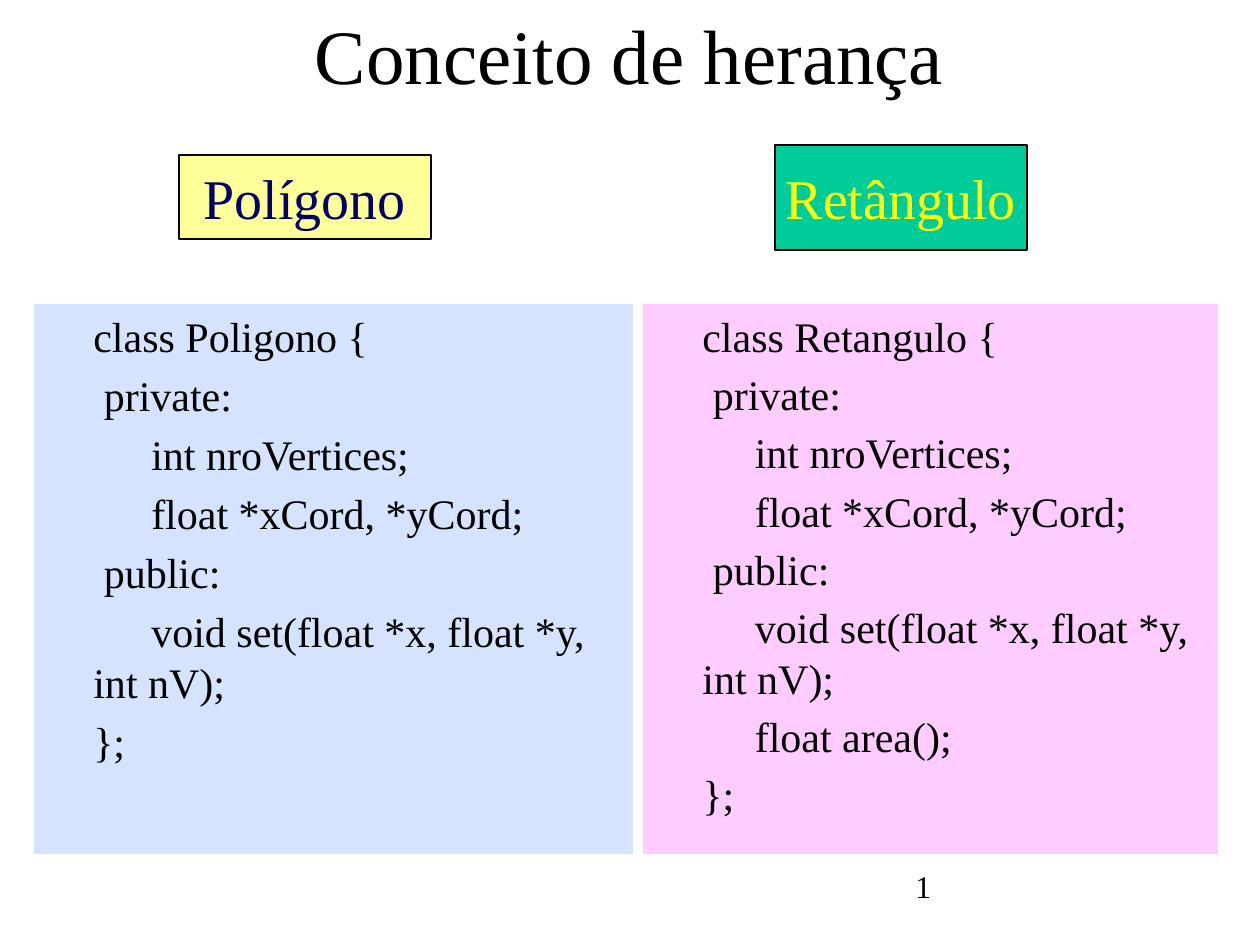
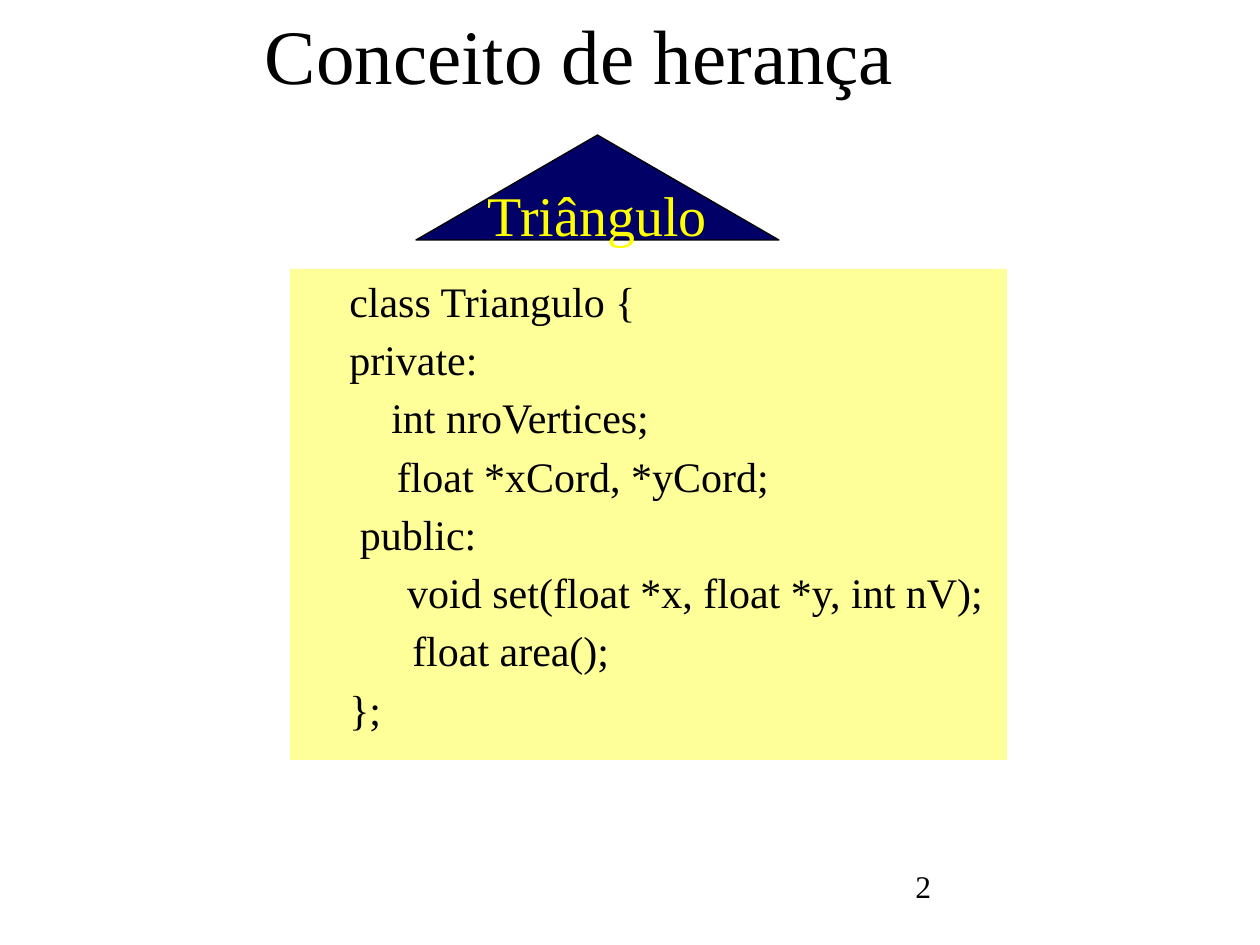
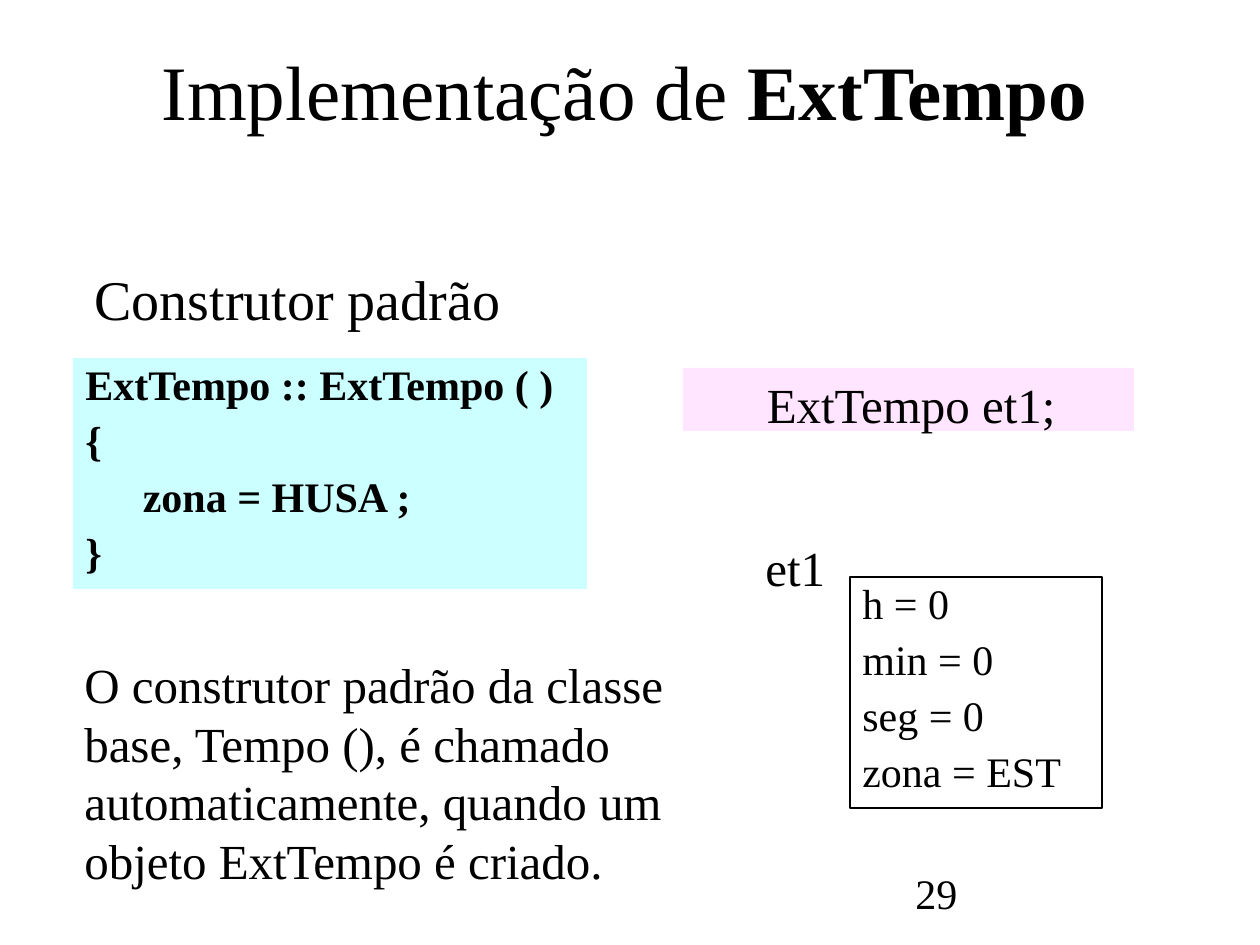
from pptx import Presentation
from pptx.dml.color import RGBColor
from pptx.enum.shapes import MSO_SHAPE
from pptx.enum.text import MSO_ANCHOR, PP_ALIGN
from pptx.util import Pt

PX = 914400 / 126
FONT = "Times New Roman"
BLACK = "000000"
NAVY = "000066"
YELLOW = "FFFF00"
PALE_YELLOW = "FFFF99"
GREEN = "00CC99"
PINK = "FFCCFF"
PALE_PINK = "FFE5FF"
PALE_BLUE = "D5E3FF"
PALE_CYAN = "CCFFFF"
RECTANGLE = MSO_SHAPE.RECTANGLE
TRIANGLE = MSO_SHAPE.ISOSCELES_TRIANGLE
TOP = MSO_ANCHOR.TOP
MIDDLE = MSO_ANCHOR.MIDDLE
BOTTOM = MSO_ANCHOR.BOTTOM
LEFT = PP_ALIGN.LEFT
CENTER = PP_ALIGN.CENTER

ATTRIBUTES = [
    "          int nroVertices;",
    "          float *xCord, *yCord;",
]
SETTER = "          void set(float *x, float *y, int nV);"

POLYGON_CODE = [
    "\tclass Poligono {",
    "\t private:",
    *ATTRIBUTES,
    "\t public:",
    SETTER,
    "\t};",
]
RECTANGLE_CODE = [
    "\tclass Retangulo {",
    "\t private:",
    "\t     int nroVertices;",
    "\t     float *xCord, *yCord;",
    "\t public:",
    "\t     void set(float *x, float *y, int nV);",
    "\t     float area();",
    "\t};",
]
TRIANGLE_CODE = [
    "\tclass Triangulo {",
    "\tprivate:",
    "\t    int nroVertices;",
    "         float *xCord, *yCord;",
    "\t public:",
    SETTER,
    "\t      float area();",
    "\t};",
]
CONSTRUCTOR_CODE = ["ExtTempo :: ExtTempo ( )", "{", "\t zona = HUSA ;", "}"]
OBJECT_STATE = ["h = 0", "min = 0", "seg = 0", "zona = EST"]


def px(length):
    return round(length * PX)


def color(value):
    return RGBColor.from_string(value)


def place(box):
    return [px(length) for length in box]


def add_run(paragraph, text, size, ink=BLACK, bold=False):
    run = paragraph.add_run()
    run.text = text
    run.font.name = FONT
    run.font.size = Pt(size)
    run.font.bold = bold
    run.font.color.rgb = color(ink)


def set_frame(frame, anchor, wrap):
    frame.word_wrap = wrap
    frame.vertical_anchor = anchor
    frame.margin_left = frame.margin_right = px(12.6)
    frame.margin_top = frame.margin_bottom = px(6.3)


def add_text(slide, box, runs, size, align=LEFT, anchor=TOP, wrap=True):
    frame = slide.shapes.add_textbox(*place(box)).text_frame
    set_frame(frame, anchor, wrap)
    paragraph = frame.paragraphs[0]
    paragraph.alignment = align
    for text, bold in runs:
        add_run(paragraph, text, size, bold=bold)


def add_panel(slide, kind, box, fill, outlined):
    panel = slide.shapes.add_shape(kind, *place(box))
    panel.shadow.inherit = False
    if fill:
        panel.fill.solid()
        panel.fill.fore_color.rgb = color(fill)
    else:
        panel.fill.background()
    if outlined:
        panel.line.color.rgb = color(BLACK)
        panel.line.width = Pt(0.75)
    else:
        panel.line.fill.background()
    return panel.text_frame


def add_class_label(slide, kind, box, name, fill, ink):
    frame = add_panel(slide, kind, box, fill, True)
    set_frame(frame, MIDDLE, False)
    paragraph = frame.paragraphs[0]
    paragraph.alignment = CENTER
    add_run(paragraph, name, 32, ink)


def add_code(slide, box, lines, fill=None, size=24, before=4.5, spacing=1.0,
             bold=False, outlined=False):
    frame = add_panel(slide, RECTANGLE, box, fill, outlined)
    set_frame(frame, TOP, True)
    for number, line in enumerate(lines):
        paragraph = frame.add_paragraph() if number else frame.paragraphs[0]
        paragraph.alignment = LEFT
        paragraph.line_spacing = spacing
        paragraph.space_before = Pt(before if number else 0)
        properties = paragraph._p.get_or_add_pPr()
        properties.set("marL", str(px(47)))
        properties.set("indent", str(-px(47)))
        add_run(paragraph, line, size, bold=bold)


def add_slide(deck, title, title_box, number, number_size=18, anchor=MIDDLE):
    slide = deck.slides.add_slide(deck.slide_layouts[6])
    add_text(slide, (903, 861, 262, 63), [(number, False)], number_size)
    add_text(slide, title_box, title, 44, CENTER, anchor)
    return slide


def build_polygon_and_rectangle(deck):
    slide = add_slide(deck, [("Conceito de herança", False)],
                      (94, 6, 1071, 95), "1")
    add_class_label(slide, RECTANGLE, (179, 155, 252, 84), "Polígono",
                    PALE_YELLOW, NAVY)
    add_class_label(slide, RECTANGLE, (775, 145, 252, 105), "Retângulo",
                    GREEN, YELLOW)
    add_code(slide, (34, 304, 599, 550), POLYGON_CODE, PALE_BLUE, before=5)
    add_code(slide, (643, 304, 575, 550), RECTANGLE_CODE, PINK)


def build_triangle(deck):
    slide = add_slide(deck, [("Conceito de herança", False)],
                      (44, 6, 1071, 95), "2")
    add_code(slide, (290, 269, 717, 491), TRIANGLE_CODE, PALE_YELLOW)
    add_class_label(slide, TRIANGLE, (416, 135, 363, 105), "Triângulo",
                    NAVY, YELLOW)


def build_constructor(deck):
    title = [("Implementação de ", False), ("ExtTempo", True)]
    slide = add_slide(deck, title, (84, 26, 1081, 116), "29", 24, BOTTOM)
    add_text(slide, (82, 258, 435, 81), [("Construtor padrão", False)], 32,
             wrap=False)
    add_code(slide, (73, 358, 514, 231), CONSTRUCTOR_CODE, PALE_CYAN,
             before=6, spacing=0.9, bold=True)
    explanation = ("O construtor padrão da classe base, Tempo (), é chamado "
                   "automaticamente, quando um objeto ExtTempo é criado.")
    add_text(slide, (72, 648, 611, 251), [(explanation, False)], 28)
    add_code(slide, (683, 368, 451, 63), ["\t  ExtTempo et1;"], PALE_PINK,
             size=28)
    add_code(slide, (850, 577, 252, 231), OBJECT_STATE, before=6,
             spacing=0.9, outlined=True)
    add_text(slide, (753, 531, 86, 72), [("et1", False)], 28, wrap=False)


def main():
    deck = Presentation()
    deck.slide_width = px(1260)
    deck.slide_height = px(945)
    build_polygon_and_rectangle(deck)
    build_triangle(deck)
    build_constructor(deck)
    deck.save("out.pptx")


if __name__ == "__main__":
    main()
